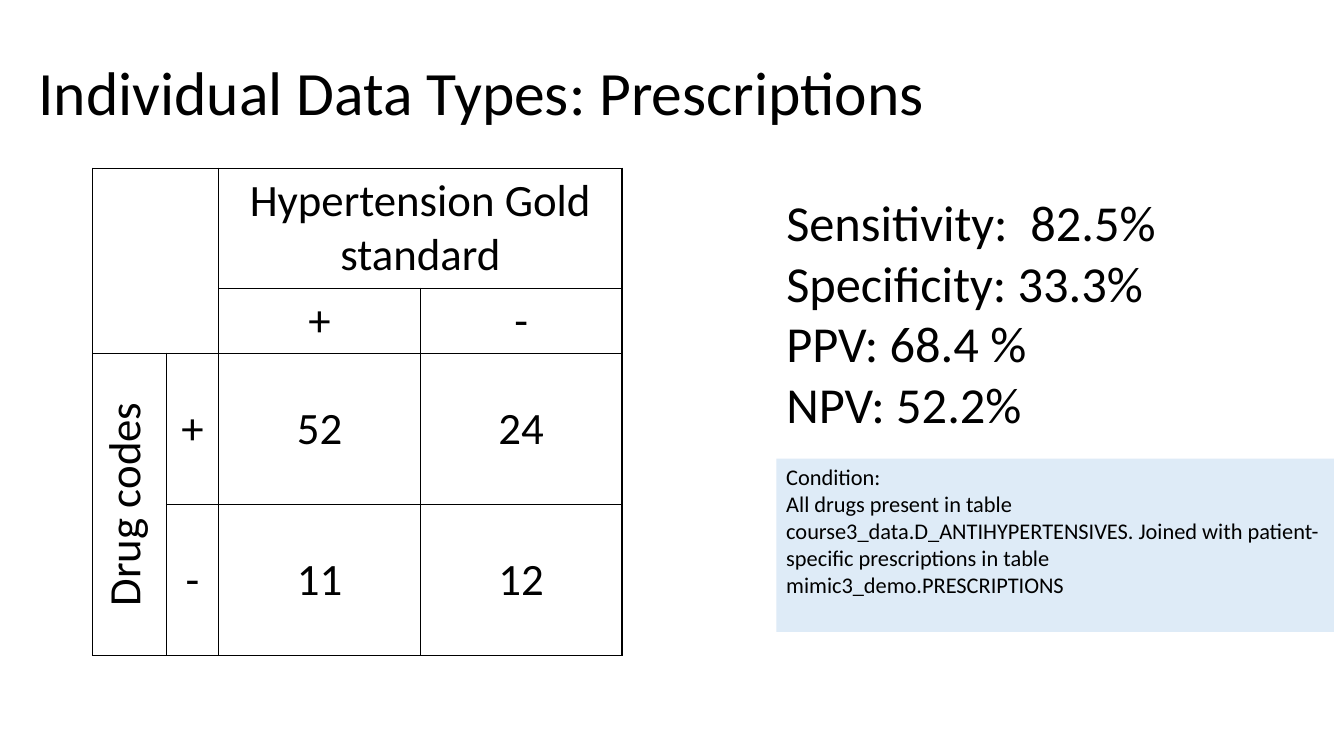
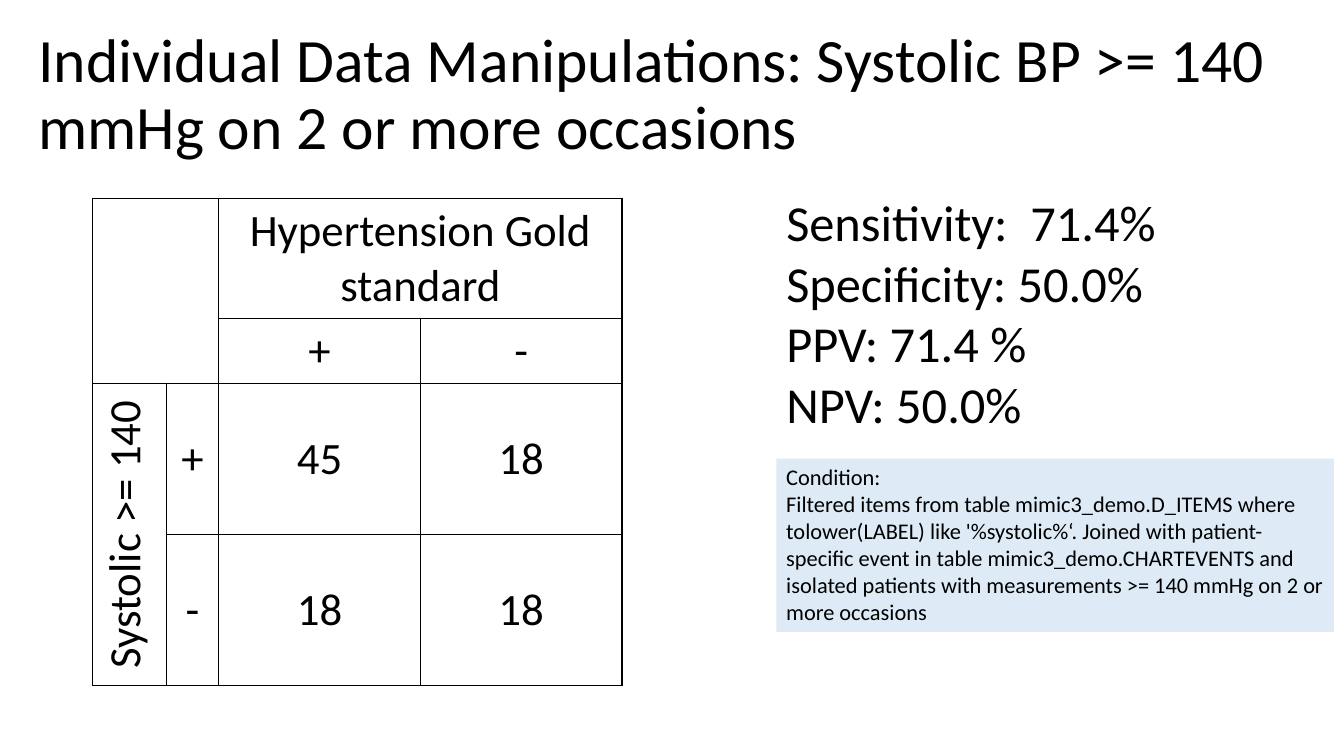
from dataclasses import dataclass

from lxml import etree
from pptx import Presentation
from pptx import util as u
from pptx.dml import color
from pptx.enum import shapes, text
from pptx.oxml import ns


@dataclass(frozen=True)
class Theme:
    font: str = "Calibri"
    ink: str = "000000"
    panel: str = "DEEBF7"
    title_size: int = 44
    metric_size: int = 36
    table_size: int = 32
    note_size: int = 16
    border_width: float = 1


@dataclass(frozen=True)
class Box:
    left: float
    top: float
    width: float
    height: float

    def lengths(self) -> list:
        return [u.Inches(n) for n in (self.left, self.top, self.width, self.height)]


@dataclass(frozen=True)
class Evaluation:
    title: str
    title_height: float
    table_top: float
    predictor: str
    counts: tuple[tuple[int, int], tuple[int, int]]
    metrics: tuple[str, ...]
    condition: str


THEME = Theme()
COLUMN_WIDTHS = (0.73, 0.52, 2, 2)
ROW_HEIGHTS = (1.19, 0.64, 1.5, 1.5)
METRICS_BOX = Box(7.7, 1.85, 3.91, 2.52)
CONDITION_BOX = Box(7.7, 4.55, 5.53, 1.72)

EVALUATIONS = (
    Evaluation(
        title="Individual Data Types: Prescriptions",
        title_height=1.45,
        table_top=1.67,
        predictor="Drug codes",
        counts=((52, 24), (11, 12)),
        metrics=("Sensitivity:  82.5%", "Specificity: 33.3%", "PPV: 68.4 %", "NPV: 52.2%"),
        condition="All drugs present in table course3_data.D_ANTIHYPERTENSIVES. "
        "Joined with patient-specific prescriptions in table mimic3_demo.PRESCRIPTIONS",
    ),
    Evaluation(
        title="Individual Data Manipulations: Systolic BP >= 140 mmHg on 2 or more occasions",
        title_height=1.47,
        table_top=1.97,
        predictor="Systolic >= 140",
        counts=((45, 18), (18, 18)),
        metrics=("Sensitivity:  71.4%", "Specificity: 50.0%", "PPV: 71.4 %", "NPV: 50.0%"),
        condition="Filtered items from table mimic3_demo.D_ITEMS where tolower(LABEL) "
        "like '%systolic%\u2018. Joined with patient-specific event in table "
        "mimic3_demo.CHARTEVENTS and isolated patients with measurements >= 140 mmHg "
        "on 2 or more occasions",
    ),
)


def write(frame, lines: tuple[str, ...], size: int, align=text.PP_ALIGN.LEFT) -> None:
    frame.text = "\n".join(lines)
    for paragraph in frame.paragraphs:
        paragraph.alignment = align
        for run in paragraph.runs:
            run.font.name = THEME.font
            run.font.size = u.Pt(size)
            run.font.color.rgb = color.RGBColor.from_string(THEME.ink)


def format_cell(cell) -> None:
    properties = cell._tc.get_or_add_tcPr()
    for side in ("a:lnL", "a:lnR", "a:lnT", "a:lnB"):
        line = etree.SubElement(properties, ns.qn(side), w=str(u.Pt(THEME.border_width)))
        fill = etree.SubElement(line, ns.qn("a:solidFill"))
        etree.SubElement(fill, ns.qn("a:srgbClr"), val=THEME.ink)
    cell.fill.background()


def add_title(slide, evaluation: Evaluation) -> None:
    title = slide.shapes.title
    box = Box(0.28, 0.22, 12.95, evaluation.title_height)
    title.left, title.top, title.width, title.height = box.lengths()
    frame = title.text_frame
    write(frame, (evaluation.title,), THEME.title_size)
    frame.auto_size = text.MSO_AUTO_SIZE.NONE
    frame.vertical_anchor = text.MSO_ANCHOR.MIDDLE
    frame.paragraphs[0].line_spacing = 0.9


def add_confusion_table(slide, evaluation: Evaluation) -> None:
    box = Box(0.92, evaluation.table_top, sum(COLUMN_WIDTHS), sum(ROW_HEIGHTS))
    table = slide.shapes.add_table(len(ROW_HEIGHTS), len(COLUMN_WIDTHS), *box.lengths()).table
    table.first_row = table.horz_banding = False
    for column, width in zip(table.columns, COLUMN_WIDTHS):
        column.width = u.Inches(width)
    for row, height in zip(table.rows, ROW_HEIGHTS):
        row.height = u.Inches(height)
    for cell in table.iter_cells():
        format_cell(cell)

    for first, last in (((0, 0), (1, 1)), ((0, 2), (0, 3)), ((2, 0), (3, 0))):
        table.cell(*first).merge(table.cell(*last))

    labels = {(0, 2): "Hypertension Gold standard", (2, 0): evaluation.predictor}
    for index, sign in enumerate("+-"):
        labels[1, 2 + index] = labels[2 + index, 1] = sign
        for offset, count in enumerate(evaluation.counts[index]):
            labels[2 + index, 2 + offset] = str(count)
    for position, label in labels.items():
        cell = table.cell(*position)
        write(cell.text_frame, (label,), THEME.table_size, text.PP_ALIGN.CENTER)
        cell.vertical_anchor = text.MSO_ANCHOR.MIDDLE
    table.cell(0, 2).vertical_anchor = text.MSO_ANCHOR.TOP
    table.cell(2, 0)._tc.get_or_add_tcPr().set("vert", "vert270")


def add_metrics(slide, evaluation: Evaluation) -> None:
    frame = slide.shapes.add_textbox(*METRICS_BOX.lengths()).text_frame
    frame.word_wrap = False
    frame.auto_size = text.MSO_AUTO_SIZE.SHAPE_TO_FIT_TEXT
    write(frame, evaluation.metrics, THEME.metric_size)


def add_condition(slide, evaluation: Evaluation) -> None:
    panel = slide.shapes.add_shape(shapes.MSO_SHAPE.RECTANGLE, *CONDITION_BOX.lengths())
    panel.shadow.inherit = False
    panel.fill.solid()
    panel.fill.fore_color.rgb = color.RGBColor.from_string(THEME.panel)
    panel.line.fill.background()
    frame = panel.text_frame
    frame.word_wrap = True
    frame.vertical_anchor = text.MSO_ANCHOR.TOP
    write(frame, ("Condition:", evaluation.condition), THEME.note_size)


def build() -> None:
    presentation = Presentation()
    presentation.slide_width = u.Inches(13.33)
    presentation.slide_height = u.Inches(7.5)
    title_only = presentation.slide_layouts.get_by_name("Title Only")
    for evaluation in EVALUATIONS:
        slide = presentation.slides.add_slide(title_only)
        add_title(slide, evaluation)
        add_confusion_table(slide, evaluation)
        add_metrics(slide, evaluation)
        add_condition(slide, evaluation)
    presentation.save("out.pptx")


build()
